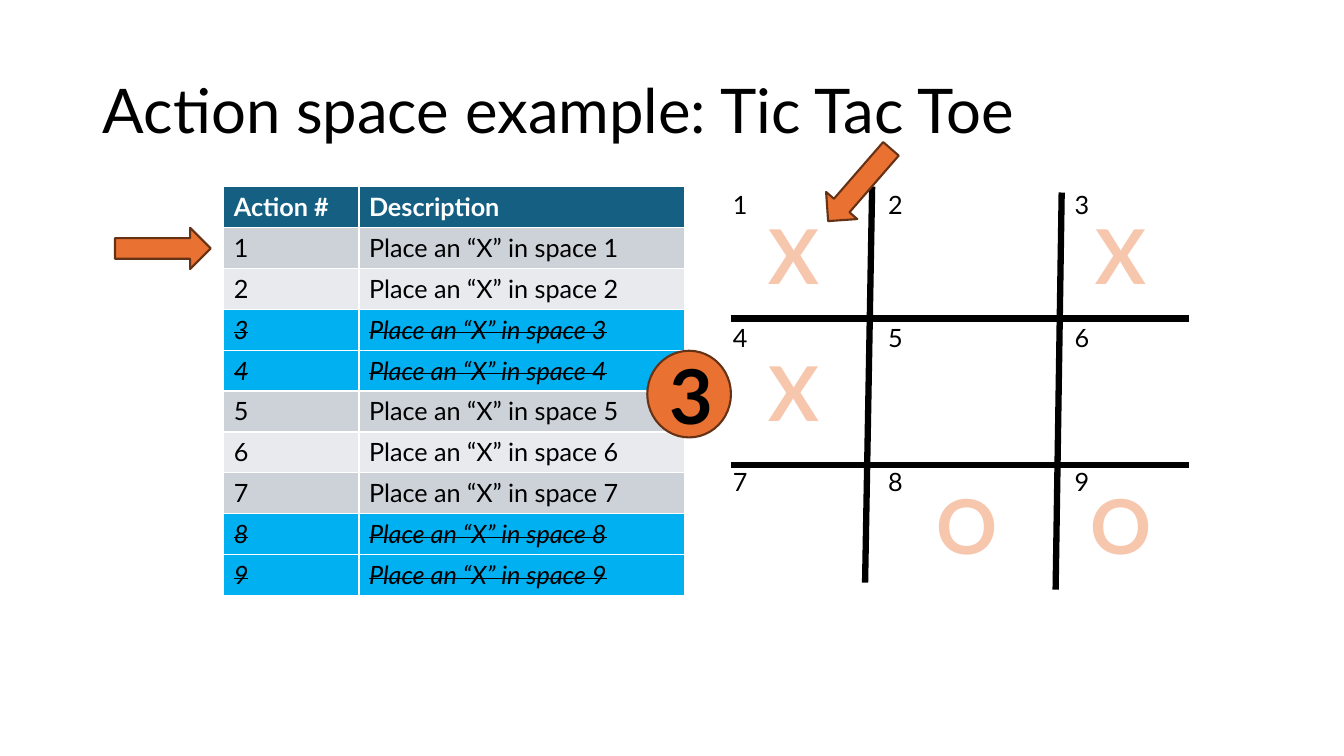
"""Build the Tic Tac Toe action space slide."""
from lxml.etree import SubElement
from pptx import Presentation
from pptx.dml.color import RGBColor
from pptx.enum.shapes import MSO_CONNECTOR, MSO_SHAPE
from pptx.enum.text import MSO_ANCHOR, MSO_AUTO_SIZE, PP_ALIGN
from pptx.oxml import parse_xml
from pptx.oxml.ns import nsdecls, qn
from pptx.util import Inches, Pt

TITLE = "Action space example: Tic Tac Toe"
HEADER = ("Action #", "Description")
ACTIONS = [(str(n), f"Place an “X” in space {n}") for n in range(1, 10)]
MARKS = {3: "X", 4: "X", 9: "O", 8: "O", 1: "X"}
TURN = "3"

BLACK = RGBColor(0, 0, 0)
WHITE = RGBColor(0xFF, 0xFF, 0xFF)
TEAL = RGBColor(0x15, 0x60, 0x82)
BANDS = (RGBColor(0xCC, 0xD2, 0xD8), RGBColor(0xE8, 0xEA, 0xED))
TAKEN = RGBColor(0x00, 0xB0, 0xF0)
ORANGE = RGBColor(0xE9, 0x71, 0x32)
BROWN = RGBColor(0x66, 0x32, 0x16)
PEACH = RGBColor(0xF6, 0xC6, 0xAD)

TABLE_X, TABLE_Y, ROW_H = 2.22, 1.85, 0.406
COL_W = (1.34, 3.23)
LABEL_X, LABEL_Y = (7.17, 8.71, 10.56), (1.83, 3.15, 4.58)
MARK_CX, MARK_Y = (7.85, 9.57, 11.1), (2.02, 3.38, 4.7)
MARK_W = {"X": 0.66, "O": 0.76}
GRID = [
    (8.65, 1.85, 8.58, 5.78),
    (10.53, 1.91, 10.47, 5.85),
    (7.25, 3.16, 11.79, 3.16),
    (7.25, 4.61, 11.79, 4.61),
]
BADGES = [
    (MSO_SHAPE.RIGHT_ARROW, (1.14, 2.26, 0.95, 0.41), 0, ""),
    (MSO_SHAPE.RIGHT_ARROW, (8.05, 1.63, 0.95, 0.41), 131, ""),
    (MSO_SHAPE.OVAL, (6.42, 3.48, 0.83, 0.86), 0, TURN),
]
BODY = {"name": "Lato", "size": Pt(18), "bold": False, "italic": False}
BIG = {**BODY, "size": Pt(54), "bold": True}


def inches(*values):
    return [Inches(v) for v in values]


def write(tf, text, style, color, align=PP_ALIGN.LEFT):
    p = tf.paragraphs[0]
    p.alignment = align
    r = p.add_run()
    r.text = text
    for key, value in style.items():
        setattr(r.font, key, value)
    r.font.color.rgb = color
    return r


def add_text(slide, box, text, style, color, align=PP_ALIGN.LEFT):
    tf = slide.shapes.add_textbox(*inches(*box)).text_frame
    tf.word_wrap = False
    tf.auto_size = MSO_AUTO_SIZE.SHAPE_TO_FIT_TEXT
    return write(tf, text, style, color, align)


def add_title(slide):
    sp = slide.shapes.title
    sp.left, sp.top, sp.width, sp.height = inches(0.92, 0.4, 11.5, 1.45)
    tf = sp.text_frame
    tf.word_wrap = True
    tf.auto_size = MSO_AUTO_SIZE.NONE
    tf.vertical_anchor = MSO_ANCHOR.MIDDLE
    tf.paragraphs[0].line_spacing = 0.9
    write(tf, TITLE, {**BODY, "size": Pt(44)}, BLACK)


def add_actions(slide):
    rows = [HEADER, *ACTIONS]
    box = inches(TABLE_X, TABLE_Y, sum(COL_W), ROW_H * len(rows))
    table = slide.shapes.add_table(len(rows), len(HEADER), *box).table
    for col, width in zip(table.columns, COL_W):
        col.width = Inches(width)
    for n, texts in enumerate(rows):
        taken = n in MARKS and n != 1
        fill = TEAL if n == 0 else TAKEN if taken else BANDS[(n - 1) % 2]
        style = {**BODY, "bold": n == 0, "italic": taken}
        for c, text in enumerate(texts):
            cell = table.cell(n, c)
            cell.fill.solid()
            cell.fill.fore_color.rgb = fill
            r = write(cell.text_frame, text, style, BLACK if n else WHITE)
            if taken:
                r._r.get_or_add_rPr().set("strike", "sngStrike")


def add_board(slide):
    for ends in GRID:
        line = slide.shapes.add_connector(MSO_CONNECTOR.STRAIGHT, *inches(*ends))
        line.line.color.rgb = BLACK
        line.line.width = Pt(4.5)
        SubElement(line._element.spPr, qn("a:effectLst"))
    for i in range(9):
        row, col = divmod(i, 3)
        add_text(slide, (LABEL_X[col], LABEL_Y[row], 0.34, 0.4), str(i + 1), BODY, BLACK)
    for n, mark in MARKS.items():
        row, col = divmod(n - 1, 3)
        w = MARK_W[mark]
        box = (MARK_CX[col] - w / 2, MARK_Y[row], w, 1.01)
        r = add_text(slide, box, mark, BIG, PEACH, PP_ALIGN.CENTER)
        outline = parse_xml(
            f'<a:ln {nsdecls("a")} w="{Pt(1.75)}"><a:solidFill>'
            f'<a:srgbClr val="{ORANGE}"/></a:solidFill></a:ln>'
        )
        r._r.get_or_add_rPr().insert(0, outline)


def add_badges(slide):
    for kind, box, angle, text in BADGES:
        sp = slide.shapes.add_shape(kind, *inches(*box))
        sp.shadow.inherit = False
        sp.rotation = angle
        sp.fill.solid()
        sp.fill.fore_color.rgb = ORANGE
        sp.line.color.rgb = BROWN
        sp.line.width = Pt(1.5)
        if text:
            sp.text_frame.vertical_anchor = MSO_ANCHOR.MIDDLE
            write(sp.text_frame, text, BIG, BLACK, PP_ALIGN.CENTER)


def main():
    prs = Presentation()
    prs.slide_width, prs.slide_height = inches(13.33, 7.5)
    slide = prs.slides.add_slide(prs.slide_layouts[5])
    for add in (add_title, add_actions, add_board, add_badges):
        add(slide)
    prs.save("out.pptx")


if __name__ == "__main__":
    main()
